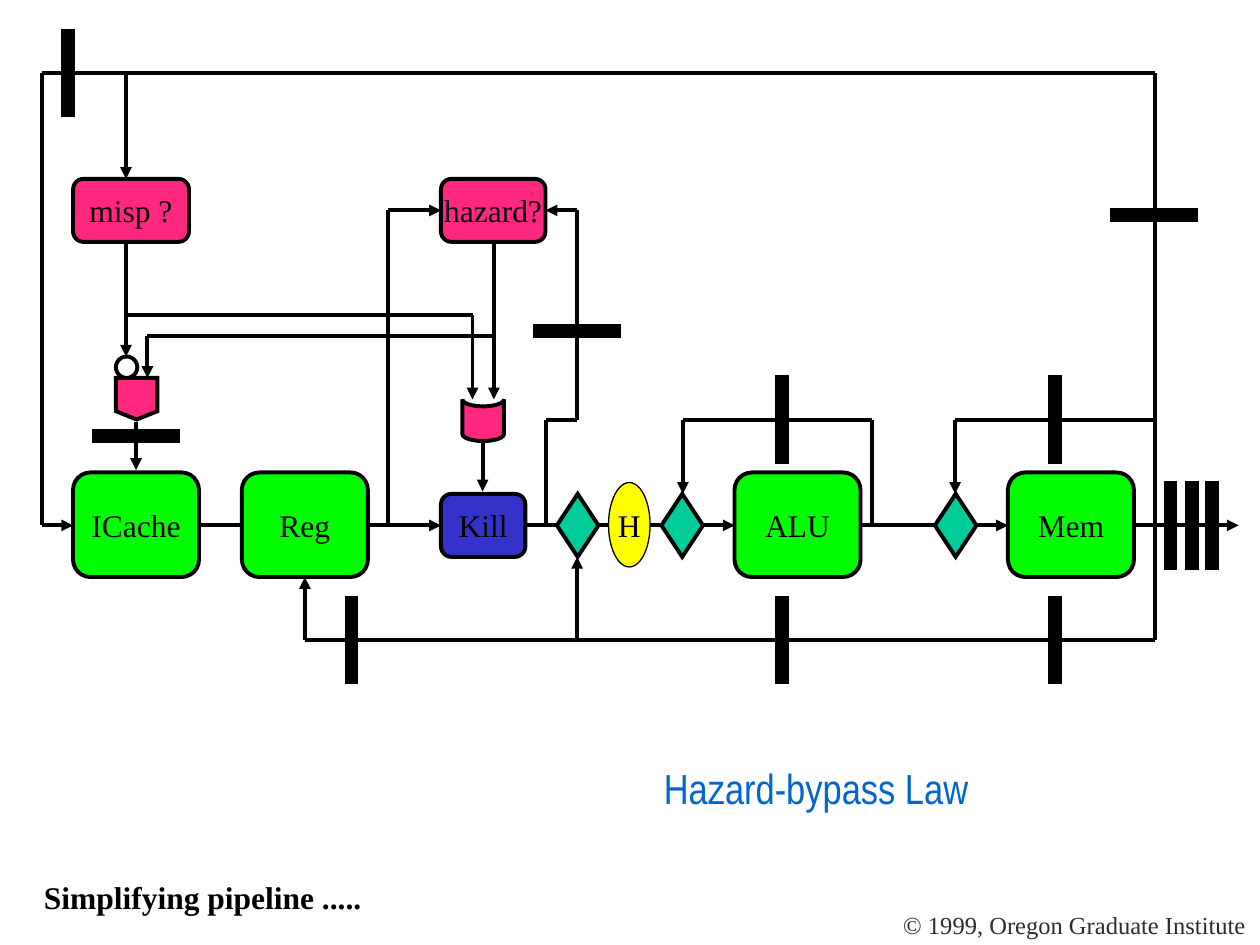
from dataclasses import dataclass

from lxml.etree import SubElement
from pptx import Presentation
from pptx.dml.color import RGBColor
from pptx.enum.shapes import MSO_CONNECTOR, MSO_SHAPE
from pptx.enum.text import MSO_ANCHOR, MSO_AUTO_SIZE, PP_ALIGN
from pptx.oxml.ns import qn
from pptx.util import Inches, Pt


@dataclass(frozen=True)
class Theme:
    black: str = "000000"
    white: str = "FFFFFF"
    green: str = "01FF01"
    pink: str = "FF277E"
    blue: str = "3333CC"
    teal: str = "00CC99"
    yellow: str = "FFFF00"
    title: str = "0066CC"
    grey: str = "2C2C2C"
    serif: str = "Times New Roman"
    narrow: str = "Arial Narrow"
    body_size: float = 18
    title_size: float = 24
    footer_size: float = 14
    line: float = 2.25
    thin_line: float = 0.75


THEME = Theme()
ROW = 4.17  # centre of the pipeline
BYPASS = 3.33  # bypass wires above the pipeline
RETURN = 5.08  # write-back wire below it
TOP = 0.58  # branch wire along the top
RIGHT = 9.17  # vertical trunk on the right
BAR_THICKNESS, BAR_LENGTH = 0.08, 0.67


@dataclass(frozen=True)
class Node:
    left: float
    top: float
    width: float
    height: float
    fill: str
    text: str = ""
    kind: MSO_SHAPE = MSO_SHAPE.ROUNDED_RECTANGLE
    line: float = THEME.line
    rotation: float = 0


@dataclass(frozen=True)
class Wire:
    points: tuple[tuple[float, float], ...]
    arrow: bool = True


@dataclass(frozen=True)
class Bar:
    """A pipeline register, given by its centre."""
    x: float
    y: float
    horizontal: bool = False


@dataclass(frozen=True)
class Label:
    left: float
    top: float
    width: float
    height: float
    text: str
    size: float = THEME.body_size
    font: str = THEME.serif
    color: str = THEME.black
    bold: bool = False


def stage(left: float, text: str) -> Node:
    return Node(left, 3.75, 1, 0.83, THEME.green, text)


def bypass_mux(left: float) -> Node:
    return Node(left, 3.92, 0.33, 0.5, THEME.teal, kind=MSO_SHAPE.DIAMOND)


PIPELINE_WIRES = [
    Wire(((start, ROW), (end, ROW)))
    for start, end in ((1.58, 3.5), (4.17, 5.83), (6.83, 8), (9, 9.83))
]
NODES = [
    stage(0.58, "ICache"), stage(1.92, "Reg"), stage(5.83, "ALU"), stage(8, "Mem"),
    Node(3.5, 3.92, 0.67, 0.5, THEME.blue, "Kill"),
    Node(3.5, 1.42, 0.83, 0.5, THEME.pink, "hazard?"),
    Node(0.58, 1.42, 0.92, 0.5, THEME.pink, "misp ?"),
    bypass_mux(4.42), bypass_mux(5.25), bypass_mux(7.42),
    Node(4.83, 3.83, 0.33, 0.67, THEME.yellow, "H", MSO_SHAPE.OVAL, THEME.thin_line),
    Node(0.92, 3, 0.33, 0.33, THEME.pink, kind=MSO_SHAPE.FLOWCHART_OFFPAGE_CONNECTOR),
    Node(0.92, 2.83, 0.17, 0.17, THEME.white, kind=MSO_SHAPE.OVAL),
    Node(3.67, 3.17, 0.33, 0.33, THEME.pink,
         kind=MSO_SHAPE.FLOWCHART_STORED_DATA, rotation=270),
]
CONTROL_WIRES = [
    Wire(((RIGHT, RETURN), (RIGHT, TOP), (0.33, TOP), (0.33, ROW), (0.58, ROW))),
    Wire(((1, TOP), (1, 1.42))),
    Wire(((1, 1.92), (1, 2.83))),
    Wire(((1, 2.5), (3.75, 2.5), (3.75, 3.17))),
    Wire(((3.92, 1.92), (3.92, 3.17))),
    Wire(((3.92, 2.67), (1.17, 2.67), (1.17, 3))),
    Wire(((1.08, 3.35), (1.08, 3.73))),
    Wire(((3.83, 3.51), (3.83, 3.9))),
    Wire(((3.08, ROW), (3.08, 1.67), (3.5, 1.67))),
    Wire(((4.33, ROW), (4.33, BYPASS), (4.58, BYPASS), (4.58, 1.67), (4.33, 1.67))),
    Wire(((6.92, ROW), (6.92, BYPASS), (5.42, BYPASS), (5.42, 3.92))),
    Wire(((RIGHT, BYPASS), (7.58, BYPASS), (7.58, 3.92))),
    Wire(((RIGHT, RETURN), (2.42, RETURN), (2.42, 4.58))),
    Wire(((4.58, RETURN), (4.58, 4.42))),
]
BARS = [
    Bar(9.29, ROW), Bar(9.46, ROW), Bar(9.62, ROW),
    Bar(2.79, RETURN), Bar(6.21, RETURN), Bar(8.37, RETURN),
    Bar(6.21, BYPASS), Bar(8.37, BYPASS), Bar(0.54, TOP),
    Bar(1.08, 3.46, True), Bar(4.58, 2.63, True), Bar(9.16, 1.71, True),
]
LABELS = [
    Label(5.17, 6, 3.79, 0.63, "Hazard-bypass Law",
          THEME.title_size, THEME.narrow, THEME.title),
    Label(0.25, 6.92, 2.72, 0.4, "Simplifying pipeline .....", bold=True),
    Label(7.07, 7.17, 2.92, 0.34, "© 1999, Oregon Graduate Institute",
          THEME.footer_size, color=THEME.grey),
]


def format_text(frame, text: str, size: float, font: str, color: str, bold: bool = False) -> None:
    frame.text = text
    frame.word_wrap = False
    style = frame.paragraphs[0].runs[0].font
    style.size, style.name, style.bold = Pt(size), font, bold
    style.color.rgb = RGBColor.from_string(color)


def draw_node(slide, node: Node) -> None:
    shape = slide.shapes.add_shape(
        node.kind, *map(Inches, (node.left, node.top, node.width, node.height)))
    shape.shadow.inherit = False
    shape.rotation = node.rotation
    shape.fill.solid()
    shape.fill.fore_color.rgb = RGBColor.from_string(node.fill)
    shape.line.color.rgb = RGBColor.from_string(THEME.black)
    shape.line.width = Pt(node.line)
    SubElement(shape.line._get_or_add_ln(), qn("a:miter"), lim="800000")
    if node.text:
        format_text(shape.text_frame, node.text, THEME.body_size, THEME.serif, THEME.black)
        shape.text_frame.vertical_anchor = MSO_ANCHOR.MIDDLE
        shape.text_frame.paragraphs[0].alignment = PP_ALIGN.CENTER


def draw_wire(slide, wire: Wire) -> None:
    """Draw one straight line per segment, with an arrowhead on the last."""
    for start, end in zip(wire.points, wire.points[1:]):
        line = slide.shapes.add_connector(
            MSO_CONNECTOR.STRAIGHT, *map(Inches, (*start, *end)))
        line.line.color.rgb = RGBColor.from_string(THEME.black)
        line.line.width = Pt(THEME.line)
        if wire.arrow and end == wire.points[-1]:
            SubElement(line.line._get_or_add_ln(), qn("a:tailEnd"), type="triangle")
        SubElement(line._element.spPr, qn("a:effectLst"))


def draw_bar(slide, bar: Bar) -> None:
    width, height = BAR_THICKNESS, BAR_LENGTH
    if bar.horizontal:
        width, height = height, width
    draw_node(slide, Node(bar.x - width / 2, bar.y - height / 2, width, height,
                          THEME.black, kind=MSO_SHAPE.RECTANGLE))


def draw_label(slide, label: Label) -> None:
    box = slide.shapes.add_textbox(
        *map(Inches, (label.left, label.top, label.width, label.height)))
    format_text(box.text_frame, label.text, label.size, label.font, label.color, label.bold)
    box.text_frame.auto_size = MSO_AUTO_SIZE.NONE


def main() -> None:
    deck = Presentation()
    deck.slide_width, deck.slide_height = Inches(10), Inches(7.5)
    slide = deck.slides.add_slide(deck.slide_layouts[6])
    for draw, items in (
        (draw_wire, PIPELINE_WIRES), (draw_node, NODES), (draw_wire, CONTROL_WIRES),
        (draw_bar, BARS), (draw_label, LABELS),
    ):
        for item in items:
            draw(slide, item)
    deck.save("out.pptx")


if __name__ == "__main__":
    main()
